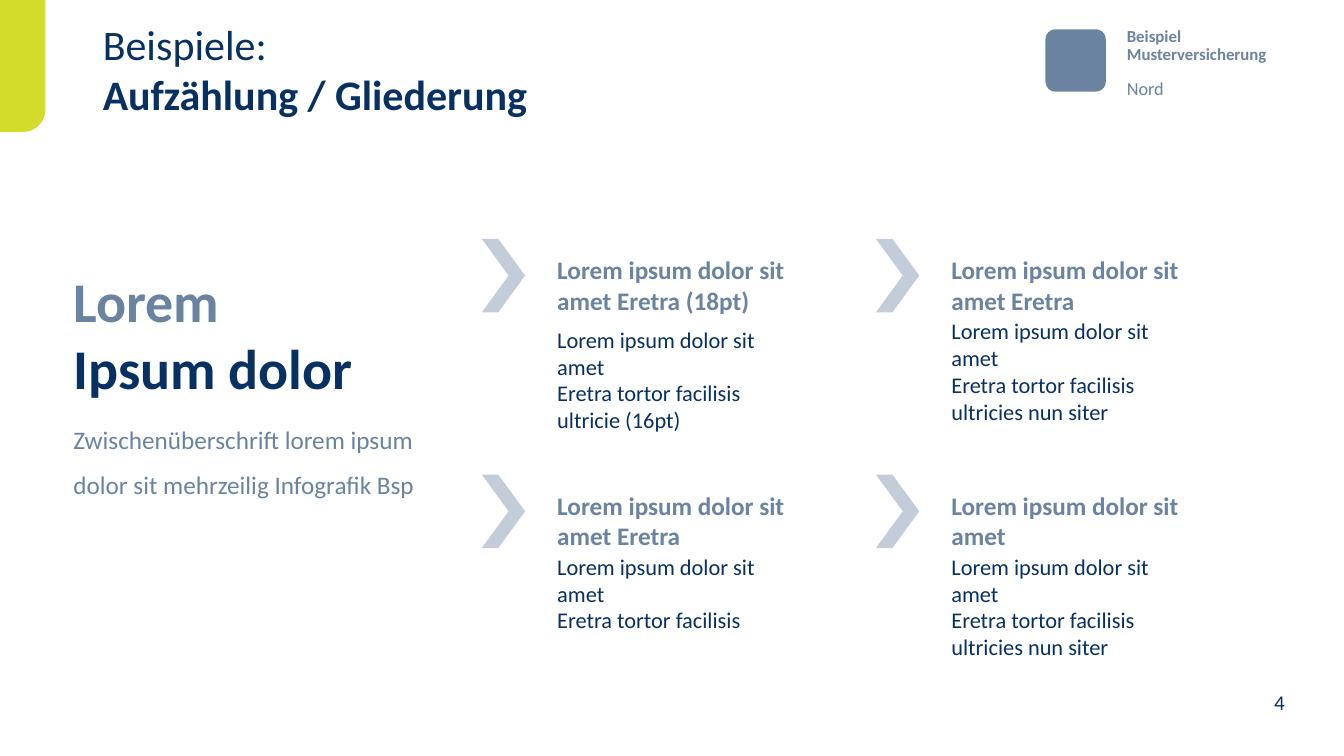
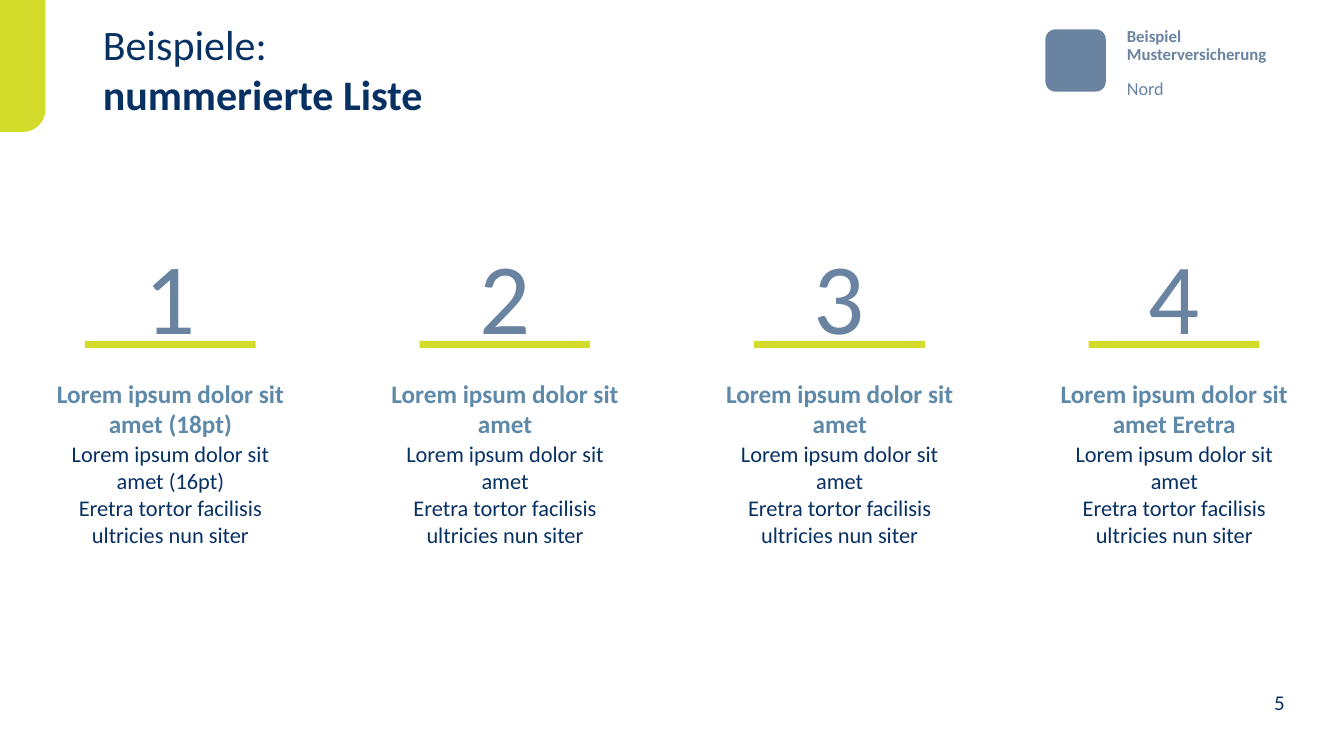
"""Build two example slides: a chevron outline and a numbered list."""
from pptx import Presentation
from pptx.dml.color import RGBColor
from pptx.enum.shapes import MSO_SHAPE
from pptx.enum.text import MSO_ANCHOR, PP_ALIGN
from pptx.util import Cm, Pt

LEFT, CENTER, RIGHT = PP_ALIGN.LEFT, PP_ALIGN.CENTER, PP_ALIGN.RIGHT
TOP, MIDDLE, BOTTOM = MSO_ANCHOR.TOP, MSO_ANCHOR.MIDDLE, MSO_ANCHOR.BOTTOM
RECT, ROUNDED = MSO_SHAPE.RECTANGLE, MSO_SHAPE.ROUNDED_RECTANGLE
BAND, CHEVRON = MSO_SHAPE.ROUND_1_RECTANGLE, MSO_SHAPE.CHEVRON

FONT = "Calibri"
COLORS = {"navy": "083163", "slate": "6983A1", "lime": "D3DB2B",
          "mist": "C3CDD9", "steel": "5E89A8"}
INSETS = (0.25, 0.13, 0.25, 0.13)


def write(sp, lines, size, align=LEFT, anchor=TOP, insets=INSETS, spacing=None, after=None):
    """Fill a shape with (text, colour, bold) lines in one paragraph."""
    tf = sp.text_frame
    tf.word_wrap = True
    tf.vertical_anchor = anchor
    tf.margin_left, tf.margin_top, tf.margin_right, tf.margin_bottom = map(Cm, insets)
    p = tf.paragraphs[0]
    p.alignment = align
    p.line_spacing = spacing
    p.space_after = after
    for i, (text, color, bold) in enumerate(lines):
        if i:
            p.add_line_break()
        r = p.add_run()
        r.text = text
        r.font.name = FONT
        r.font.size = Pt(size)
        r.font.bold = bold
        r.font.color.rgb = RGBColor.from_string(COLORS[color])


def add_block(s, kind, x, y, w, h, color):
    """Add a plain filled shape without outline or shadow."""
    sp = s.shapes.add_shape(kind, Cm(x), Cm(y), Cm(w), Cm(h))
    sp.shadow.inherit = False
    sp.fill.solid()
    sp.fill.fore_color.rgb = RGBColor.from_string(COLORS[color])
    sp.line.fill.background()
    return sp


prs = Presentation()
prs.slide_width, prs.slide_height = Cm(33.86), Cm(19.05)

slides = []
for number, topic, title_w in [("4", "Aufzählung / Gliederung", 21.84),
                               ("5", "nummerierte Liste", 22.94)]:
    s = prs.slides.add_slide(prs.slide_layouts[5])
    slides.append(s)
    title = s.shapes.title
    title.left, title.top, title.width, title.height = Cm(2.34), Cm(0.33), Cm(title_w), Cm(3)
    write(title, [("Beispiele:", "navy", False), (topic, "navy", True)], 30)

    band = add_block(s, BAND, -1.09, 1.09, 3.33, 1.14, "lime")
    band.rotation = 90
    band.adjustments[0] = 0.5

    add_block(s, ROUNDED, 26.34, 0.74, 1.52, 1.57, "slate")
    sender = s.shapes.add_textbox(Cm(28.14), Cm(0.56), Cm(4.9), Cm(1.19))
    write(sender, [("Beispiel", "slate", True), ("Musterversicherung", "slate", True)],
          12, spacing=Pt(13))
    branch = s.shapes.add_textbox(Cm(28.14), Cm(1.63), Cm(2), Cm(0.91))
    write(branch, [("Nord", "slate", False)], 13, spacing=Pt(21))

    page = s.shapes.add_textbox(Cm(24.16), Cm(16.87), Cm(8.46), Cm(1.27))
    write(page, [(number, "navy", False)], 15, RIGHT, BOTTOM)

outline, numbered = slides

lead = outline.shapes.add_textbox(Cm(1.85), Cm(6.81), Cm(9.27), Cm(3.3))
write(lead, [("Lorem", "slate", True), ("Ipsum dolor", "navy", True)], 40,
      anchor=BOTTOM, insets=(0, 0.61, 0, 0))
subhead = outline.shapes.add_textbox(Cm(1.85), Cm(10.31), Cm(9.27), Cm(3.3))
write(subhead, [("Zwischenüberschrift lorem ipsum dolor sit mehrzeilig Infografik Bsp",
                 "slate", False)], 18, insets=(0, 0, 0, 0), spacing=1.5)

INTRO = "Lorem ipsum dolor sit amet"
DETAIL = "Eretra tortor facilisis ultricies nun siter"
points = [
    (INTRO + " Eretra (18pt)", "Eretra tortor facilisis ultricie (16pt)", 6.83, 2.06, 3),
    (INTRO + " Eretra", DETAIL, 6.35, 1.84, 3),
    (INTRO + " Eretra", "Eretra tortor facilisis", 6.35, 1.84, 2.31),
    (INTRO, DETAIL, 6.35, 1.84, 3),
]
for i, (heading, detail, heading_w, drop, body_h) in enumerate(points):
    row, col = divmod(i, 2)
    x, y = 12.14 + 9.93 * col, 6.02 + 5.94 * row
    chevron = add_block(outline, CHEVRON, x, y, 1.09, 1.85, "mist")
    chevron.adjustments[0] = 0.62
    head = outline.shapes.add_textbox(Cm(x + 1.65), Cm(y + 0.27), Cm(heading_w), Cm(1.8))
    write(head, [(heading, "slate", True)], 18)
    body = outline.shapes.add_textbox(Cm(x + 1.65), Cm(y + drop), Cm(6.35), Cm(body_h))
    write(body, [(INTRO, "navy", False), (detail, "navy", False)], 16)

steps = [(INTRO + " (18pt)", INTRO + " (16pt)"), (INTRO, INTRO), (INTRO, INTRO),
         (INTRO + " Eretra", INTRO)]
for i, (heading, intro) in enumerate(steps):
    x = 1.12 + 8.43 * i
    digit = numbered.shapes.add_textbox(Cm(x + 1.02), Cm(7.06), Cm(4.3), Cm(0.71))
    write(digit, [(str(i + 1), "slate", False)], 72, CENTER, MIDDLE, (0, 0, 0, 0), after=Pt(31))
    add_block(numbered, RECT, x + 1.02, 8.59, 4.3, 0.18, "lime")
    head = numbered.shapes.add_textbox(Cm(x), Cm(9.4), Cm(6.35), Cm(1.8))
    write(head, [(heading, "steel", True)], 18, CENTER)
    body = numbered.shapes.add_textbox(Cm(x), Cm(10.97), Cm(6.35), Cm(3))
    write(body, [(intro, "navy", False), (DETAIL, "navy", False)], 16, CENTER)

prs.save("out.pptx")
